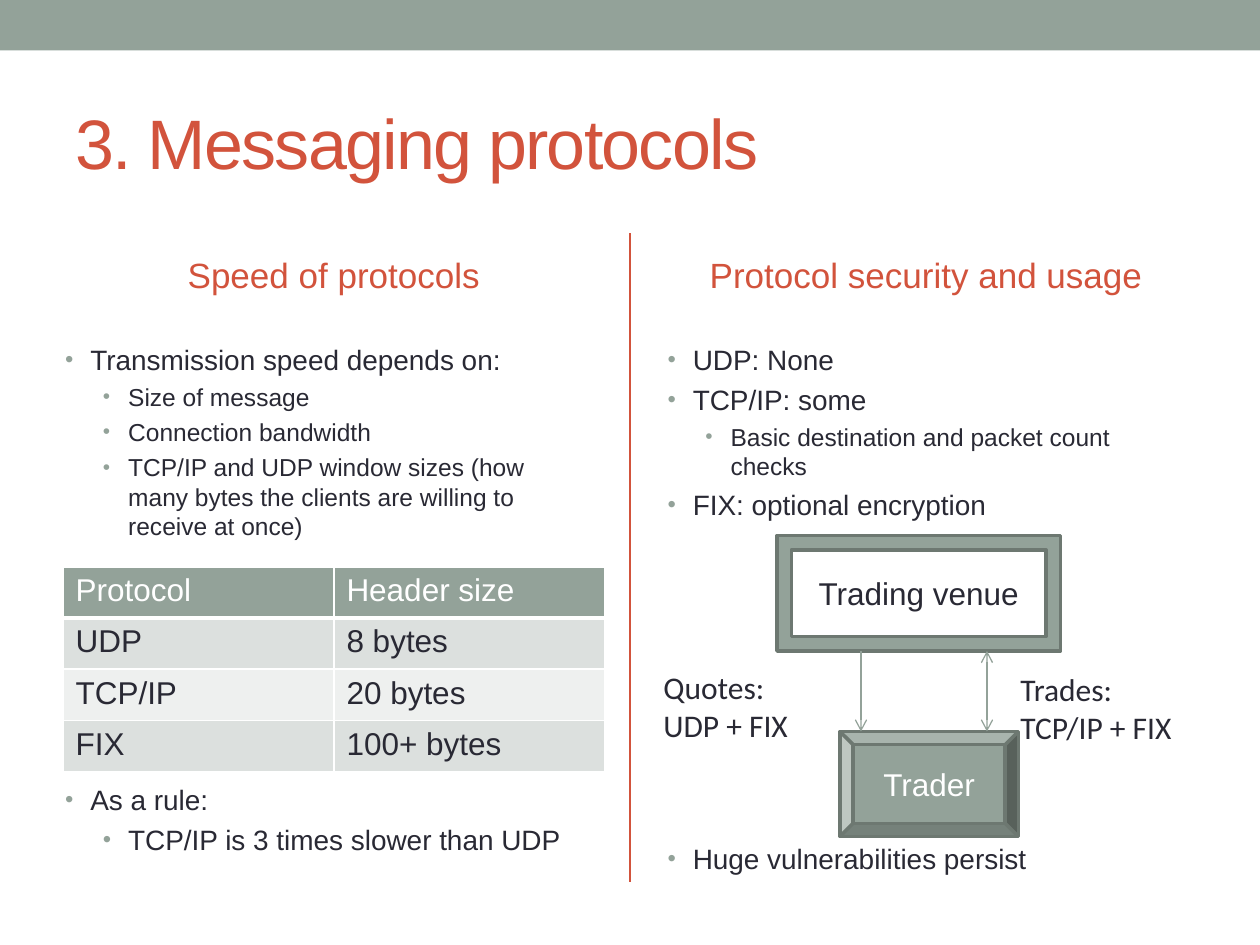
from lxml.etree import SubElement
from pptx import Presentation
from pptx.dml.color import RGBColor
from pptx.enum.shapes import MSO_CONNECTOR, MSO_SHAPE
from pptx.enum.text import MSO_ANCHOR, PP_ALIGN
from pptx.oxml.ns import qn
from pptx.util import Pt

SAGE, RUST, INK, WHITE, EDGE = "93A299", "D2533C", "292934", "FFFFFF", "6D7871"
BANDS = ["DCE0DE", "EEF0EF"]

# Bullets: text, level, size, space before
SPEED = [
    ("Transmission speed depends on:", 0, 16, 3.7),
    ("Size of message", 1, 14, 3.3),
    ("Connection bandwidth", 1, 14, 3.3),
    ("TCP/IP and UDP window sizes (how many bytes the clients are willing to "
     "receive at once)", 1, 14, 3.3),
    ("As a rule:", 0, 16, 138.5),
    ("TCP/IP is 3 times slower than UDP", 1, 16, 3.7),
]
SECURITY = [
    ("UDP: None", 0, 16, 3.7),
    ("TCP/IP: some", 0, 16, 3.7),
    ("Basic destination and packet count checks", 1, 14, 3.3),
    ("FIX: optional encryption", 0, 16, 3.7),
    ("Huge vulnerabilities persist", 0, 16, 183.3),
]
HEADER_SIZES = [("Protocol", "Header size"), ("UDP", "8 bytes"),
                ("TCP/IP", "20 bytes"), ("FIX", "100+ bytes")]
# Headings: text, left, top, width, height, format
HEADINGS = [
    ("3. Messaging protocols", 36, 41.8, 648, 77.8, dict(size=40, tracking=-100)),
    ("Speed of protocols", 36, 131.8, 309.6, 50.4,
     dict(size=20, align=PP_ALIGN.CENTER, before=4.6)),
    ("Protocol security and usage", 374.4, 131.8, 309.6, 50.4,
     dict(size=20, align=PP_ALIGN.CENTER, before=4.6)),
]
# Parties: text, shape, left, top, width, height, text colour
PARTIES = [
    ("Trading venue", MSO_SHAPE.FRAME, 444, 306, 162, 66, INK),
    ("Trader", MSO_SHAPE.BEVEL, 480, 418, 102, 60, WHITE),
]
# Flows: x, ends with an arrowhead
FLOWS = [(492, ["tailEnd"]), (564, ["headEnd", "tailEnd"])]
FLOW_LABELS = [(("Quotes:", "UDP + FIX"), 372, 378, 101.5),
               (("Trades:", "TCP/IP + FIX"), 576, 379.4, 121.7)]


def color(value):
    return RGBColor.from_string(value)


def write(para, text, size=18, ink=INK, font="Arial", align=None, before=0,
          tracking=None):
    para.alignment = align
    para.space_before = Pt(before)
    span = para.add_run()
    span.text = text
    span.font.size = Pt(size)
    span.font.name = font
    span.font.color.rgb = color(ink)
    if tracking:
        span.font._element.set("spc", str(tracking))


def add_text_box(page, left, top, width, height, anchor=MSO_ANCHOR.TOP, wrap=True):
    box = page.shapes.add_textbox(Pt(left), Pt(top), Pt(width), Pt(height))
    box.text_frame.word_wrap = wrap
    box.text_frame.vertical_anchor = anchor
    return box.text_frame


def paragraphs(frame, count):
    return [frame.paragraphs[0]] + [frame.add_paragraph() for _ in range(count - 1)]


def add_bullets(page, items, left, top, width, height):
    frame = add_text_box(page, left, top, width, height)
    for para, (text, level, size, before) in zip(paragraphs(frame, len(items)), items):
        write(para, text, size=size, before=before)
        para.level = level
        properties = para._p.get_or_add_pPr()
        properties.set("marL", str(Pt(14.4 + 21.6 * level)))
        properties.set("indent", str(-Pt(14.4)))
        bullet_color = SubElement(properties, qn("a:buClr"))
        SubElement(bullet_color, qn("a:srgbClr"), val=SAGE)
        SubElement(properties, qn("a:buSzPct"), val="85000")
        SubElement(properties, qn("a:buFont"), typeface="Arial")
        SubElement(properties, qn("a:buChar"), char="•")


def add_block(page, shape, left, top, width, height, line=None):
    block = page.shapes.add_shape(shape, Pt(left), Pt(top), Pt(width), Pt(height))
    block.shadow.inherit = False
    block.fill.solid()
    block.fill.fore_color.rgb = color(SAGE)
    if line:
        block.line.color.rgb = color(line)
        block.line.width = Pt(2.08)
    else:
        block.line.fill.background()
    return block.text_frame


def add_line(page, x, top, bottom, ink, width, arrow_ends=()):
    line = page.shapes.add_connector(
        MSO_CONNECTOR.STRAIGHT, Pt(x), Pt(top), Pt(x), Pt(bottom))
    line.line.color.rgb = color(ink)
    line.line.width = Pt(width)
    for end in arrow_ends:
        SubElement(line.line._get_or_add_ln(), qn(f"a:{end}"), type="arrow")
    SubElement(line._element.spPr, qn("a:effectLst"))


def set_borders(cell, bottom):
    """Draw white cell borders; they must come before the fill."""
    properties = cell._tc.get_or_add_tcPr()
    for side, width in (("lnL", 1), ("lnR", 1), ("lnT", 1), ("lnB", bottom)):
        border = SubElement(properties, qn(f"a:{side}"), w=str(Pt(width)))
        fill = SubElement(border, qn("a:solidFill"))
        SubElement(fill, qn("a:srgbClr"), val=WHITE)


def add_header_table(page):
    table = page.shapes.add_table(len(HEADER_SIZES), 2, Pt(36), Pt(324),
                                  Pt(309.6), Pt(116.8)).table
    for row, values in enumerate(HEADER_SIZES):
        for column, text in enumerate(values):
            cell = table.cell(row, column)
            set_borders(cell, bottom=1 if row else 3)
            cell.fill.solid()
            cell.fill.fore_color.rgb = color(BANDS[(row - 1) % 2] if row else SAGE)
            write(cell.text_frame.paragraphs[0], text, ink=INK if row else WHITE)


def main():
    deck = Presentation()
    deck.slide_width, deck.slide_height = Pt(720), Pt(540)
    page = deck.slides.add_slide(deck.slide_layouts[6])

    add_block(page, MSO_SHAPE.RECTANGLE, 0, 0, 720, 28.8)
    add_line(page, 360, 133.2, 504, RUST, 1.5)
    for text, left, top, width, height, style in HEADINGS:
        frame = add_text_box(page, left, top, width, height, MSO_ANCHOR.MIDDLE)
        write(frame.paragraphs[0], text, ink=RUST, **style)
    add_header_table(page)
    add_bullets(page, SECURITY, 374.4, 192.2, 309.6, 329.8)
    add_bullets(page, SPEED, 30.2, 192.2, 309.6, 311)

    for text, shape, left, top, width, height, ink in PARTIES:
        frame = add_block(page, shape, left, top, width, height, line=EDGE)
        frame.vertical_anchor = MSO_ANCHOR.MIDDLE
        write(frame.paragraphs[0], text, ink=ink, align=PP_ALIGN.CENTER)
    for x, arrow_ends in FLOWS:
        add_line(page, x, 372, 418, SAGE, 0.75, arrow_ends)
    for lines, left, top, width in FLOW_LABELS:
        frame = add_text_box(page, left, top, width, 51, wrap=False)
        for para, text in zip(paragraphs(frame, len(lines)), lines):
            write(para, text, font="Calibri")

    deck.save("out.pptx")


if __name__ == "__main__":
    main()
